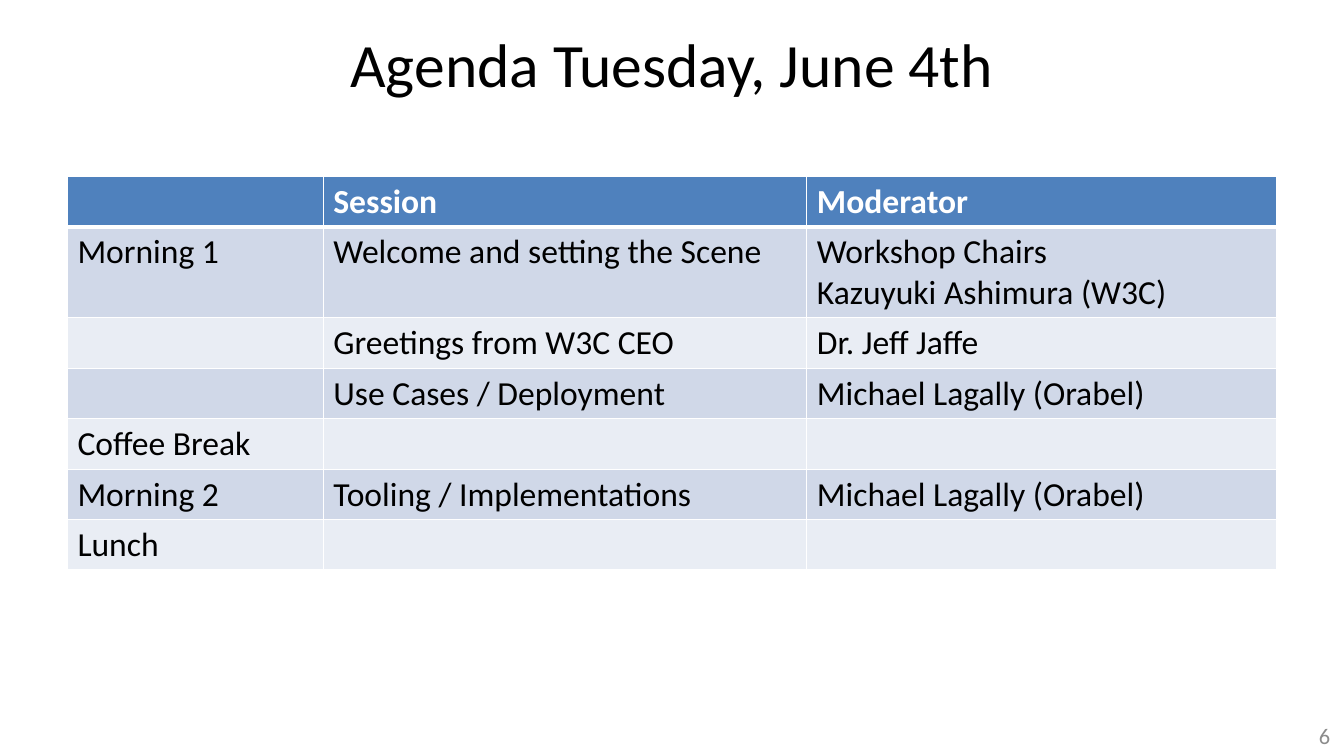
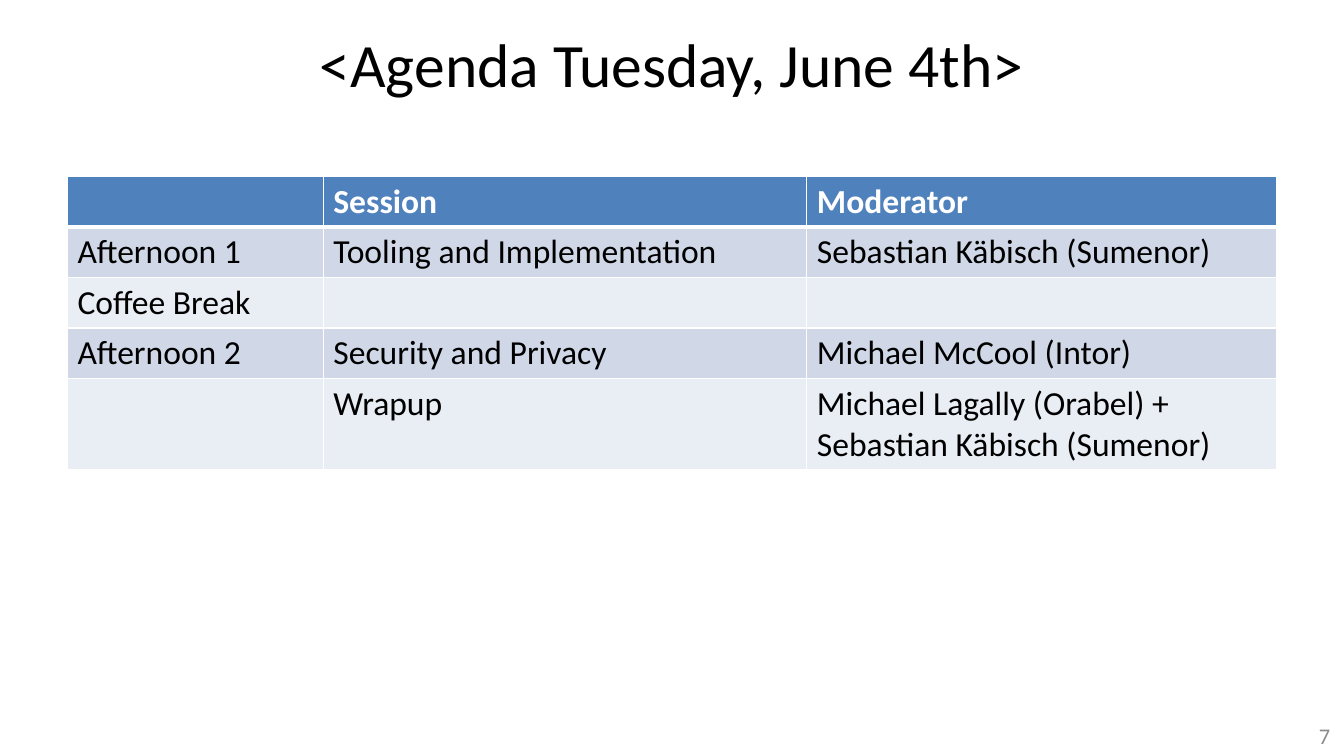
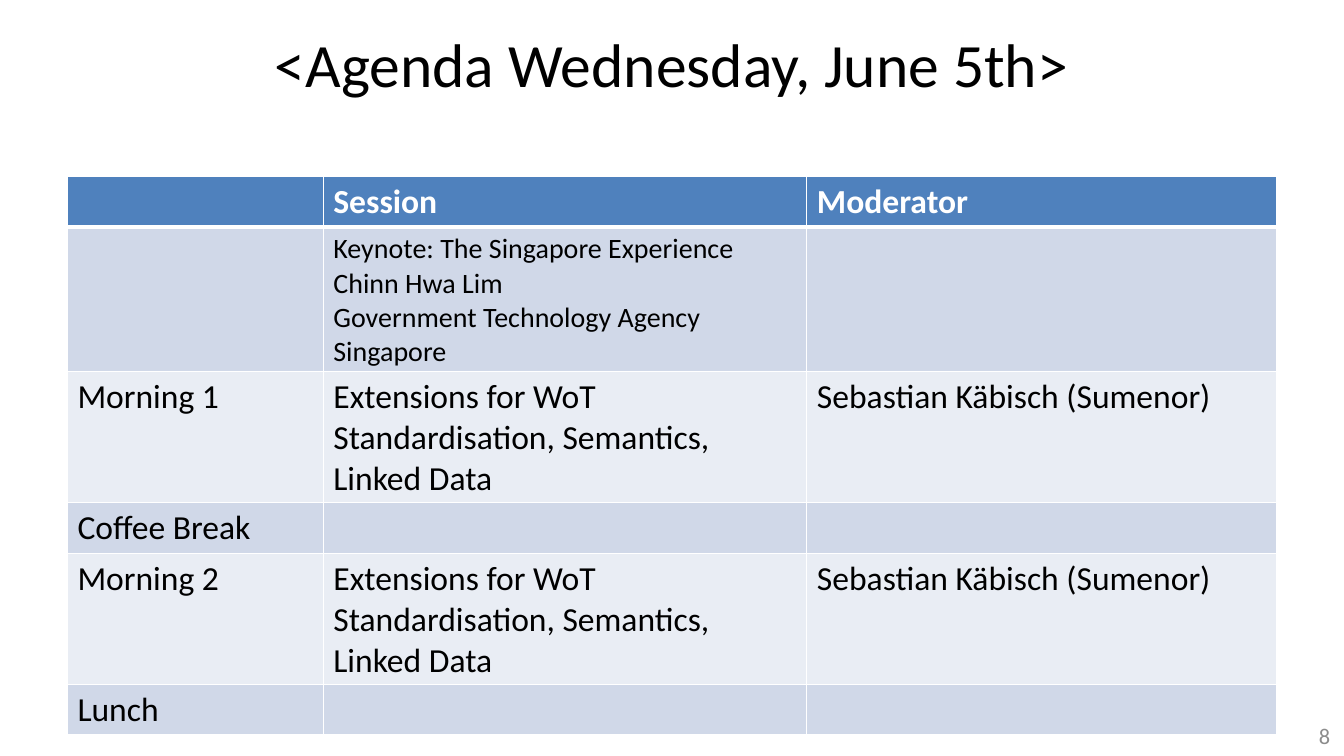
from lxml import etree
from pptx import Presentation
from pptx.dml.color import RGBColor
from pptx.enum import text as tx
from pptx.oxml import ns
from pptx.util import Cm, Pt

WIDE, HIGH = 33.88, 19.05
FONT = "Calibri"
BLACK, WHITE, GREY = "000000", "FFFFFF", "8C8C8C"
HEAD, BANDS = "4F81BD", ("D0D8E8", "E9EDF4")
COLS = (6.45, 12.19, 11.84)
ROW = 1.04
TITLE = (0, 0, WIDE, 3.18)
TABLE = (1.7, 4.45)
NUMBER = (25.96, 18.03, 7.91, 1.02)
LEFT, MID, RIGHT = tx.PP_ALIGN.LEFT, tx.PP_ALIGN.CENTER, tx.PP_ALIGN.RIGHT


def paint(target, color):
    """Give a fill or font a solid colour from a hex string."""
    if hasattr(target, "solid"):
        target.solid()
        target.fore_color.rgb = RGBColor.from_string(color)
    else:
        target.color.rgb = RGBColor.from_string(color)


def write(frame, words, size=24, color=BLACK, bold=False, align=LEFT):
    """Fill a text frame, one paragraph for each line of words."""
    for i, line in enumerate(words.split("\n")):
        para = frame.add_paragraph() if i else frame.paragraphs[0]
        para.alignment = align
        if line:
            run = para.add_run()
            run.text = line
            font = run.font
            font.name, font.size, font.bold = FONT, Pt(size), bold
            paint(font, color)


def label(slide, box, words, **style):
    frame = slide.shapes.add_textbox(*map(Cm, box)).text_frame
    frame.word_wrap = True
    frame.vertical_anchor = tx.MSO_ANCHOR.MIDDLE
    frame.margin_left = frame.margin_right = Cm(0.34)
    frame.margin_top = frame.margin_bottom = Cm(0.17)
    write(frame, words, **style)


def border(cell, top, bottom):
    """Draw white cell borders; top and bottom are widths in points."""
    props = cell._tc.get_or_add_tcPr()
    sides = (("lnL", 1), ("lnR", 1), ("lnT", top), ("lnB", bottom))
    for i, (side, width) in enumerate(sides):
        line = etree.Element(ns.qn("a:" + side), w=str(Pt(width)))
        fill = etree.SubElement(line, ns.qn("a:solidFill"))
        etree.SubElement(fill, ns.qn("a:srgbClr"), val=WHITE)
        props.insert(i, line)


def grid(slide, spot, rows, small):
    """Place the agenda table; small is the (row, column) set in 20 points."""
    rows = [("", "Session", "Moderator"), *rows]
    size = (sum(COLS), ROW * len(rows))
    table = slide.shapes.add_table(
        len(rows), len(COLS), *map(Cm, spot + size)).table
    for col, width in zip(table.columns, COLS):
        col.width = Cm(width)
    for r, row in enumerate(rows):
        table.rows[r].height = Cm(ROW)
        for c, words in enumerate(row):
            cell = table.cell(r, c)
            paint(cell.fill, BANDS[(r - 1) % 2] if r else HEAD)
            border(cell, 3 if r == 1 else 1, 1 if r else 3)
            write(cell.text_frame, words, size=20 if (r, c) == small else 24,
                  color=BLACK if r else WHITE, bold=not r)


def agenda(deck, number, title, rows, small=None):
    slide = deck.slides.add_slide(deck.slide_layouts[6])
    label(slide, TITLE, title, size=44, align=MID)
    grid(slide, TABLE, rows, small)
    label(slide, NUMBER, str(number), size=16, color=GREY, align=RIGHT)


def main():
    deck = Presentation()
    deck.slide_width, deck.slide_height = Cm(WIDE), Cm(HIGH)
    lagally = "Michael Lagally (Orabel)"
    kabisch = "Sebastian Käbisch (Sumenor)"
    coffee, lunch = ("Coffee Break", "", ""), ("Lunch", "", "")
    extend = "Extensions for WoT Standardisation, Semantics, Linked Data"
    keynote = ("Keynote: The Singapore Experience\nChinn Hwa Lim\n"
               "Government Technology Agency Singapore")
    agenda(deck, 6, "Agenda Tuesday, June 4th", [
        ("Morning 1", "Welcome and setting the Scene",
         "Workshop Chairs\nKazuyuki Ashimura (W3C)"),
        ("", "Greetings from W3C CEO", "Dr. Jeff Jaffe"),
        ("", "Use Cases / Deployment", lagally),
        coffee,
        ("Morning 2", "Tooling / Implementations", lagally),
        lunch,
    ])
    agenda(deck, 7, "<Agenda Tuesday, June 4th>", [
        ("Afternoon 1", "Tooling and Implementation", kabisch),
        coffee,
        ("Afternoon 2", "Security and Privacy", "Michael McCool (Intor)"),
        ("", "Wrapup", f"{lagally} +\n{kabisch}"),
    ])
    agenda(deck, 8, "<Agenda Wednesday, June 5th>", [
        ("", keynote, ""),
        ("Morning 1", extend, kabisch),
        coffee,
        ("Morning 2", extend, kabisch),
        lunch,
    ], small=(1, 1))
    deck.save("out.pptx")


if __name__ == "__main__":
    main()
